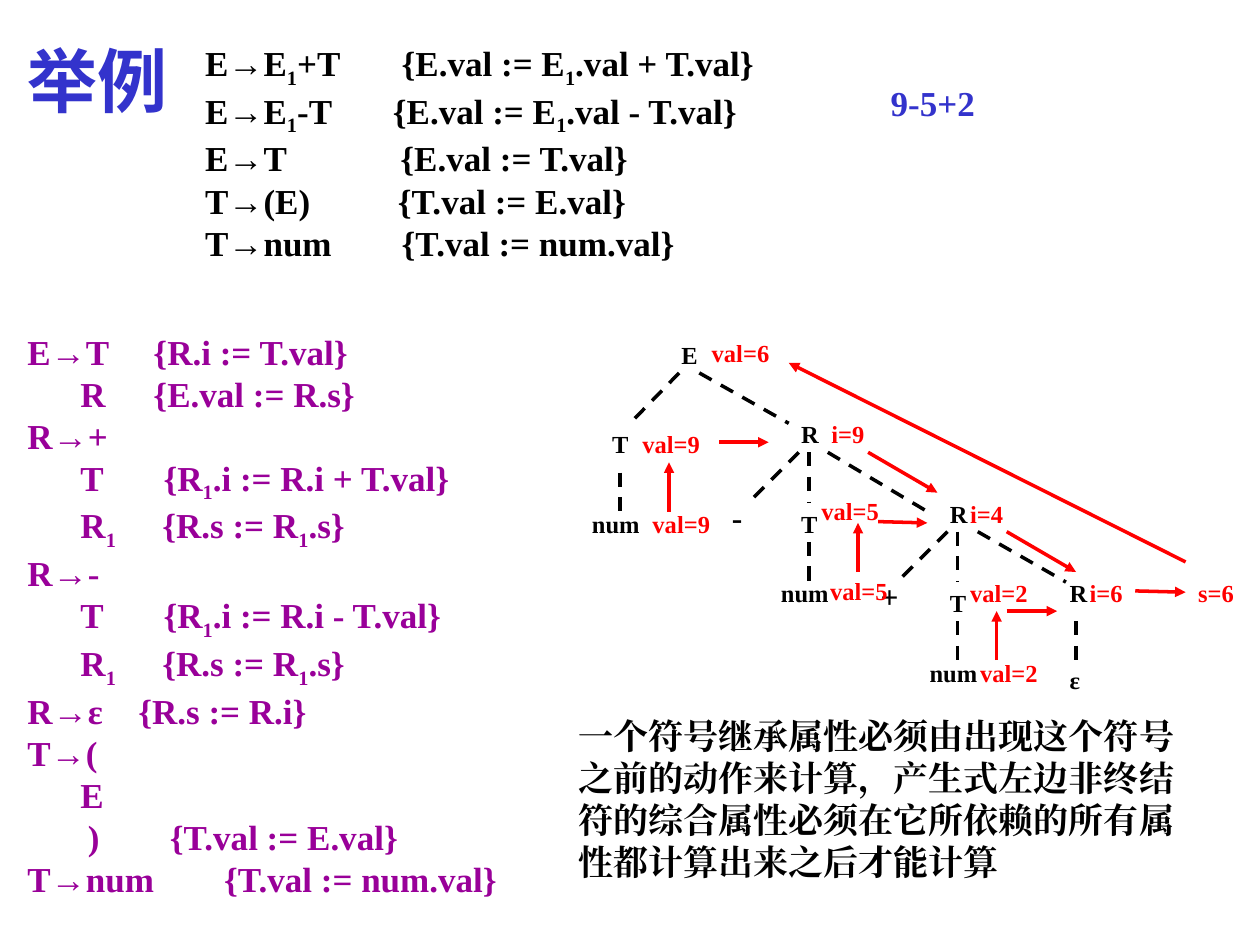
from lxml import etree
from pptx import Presentation
from pptx import util as u
from pptx.dml import color
from pptx.enum import dml, shapes, text
from pptx.oxml import ns

COLORS = {"title": "3333CC", "ink": "000000", "scheme": "990099", "attr": "FF0000"}
SERIF = "Times New Roman"
SANS = "Noto Sans CJK SC"

GRAMMAR = [
    ("E→E_1+T\t{E.val := E_1.val + T.val}", [1.56]),
    ("E→E_1-T\t{E.val := E_1.val - T.val}", [1.49]),
    ("E→T\t{E.val := T.val}", [1.55]),
    ("T→(E)\t{T.val := E.val}", [1.53]),
    ("T→num\t{T.val := num.val}", [1.56]),
]
SCHEME = [
    ("E→T\t{R.i := T.val}", [1]),
    ("\tR\t{E.val := R.s}", [0.42, 1]),
    ("R→+", []),
    ("\tT\t{R_1.i := R.i + T.val}", [0.42, 1.08]),
    ("\tR_1\t{R.s := R_1.s}", [0.42, 1.07]),
    ("R→-", []),
    ("\tT\t{R_1.i := R.i - T.val}", [0.42, 1.08]),
    ("\tR_1\t{R.s := R_1.s}", [0.42, 1.07]),
    ("R→ε\t{R.s := R.i}", [0.88]),
    ("T→(", []),
    ("\tE", [0.42]),
    ("\t)\t{T.val := E.val}", [0.48, 1.13]),
    ("T→num\t{T.val := num.val}", [1.56]),
]
NOTE = ("一个符号继承属性必须由出现这个符号之前的动作来计算，产生式左边非终结"
        "符的综合属性必须在它所依赖的所有属性都计算出来之后才能计算")

NODES = [
    ("E", 0.71, 0.05), ("T", 0.16, 0.76), ("R", 1.66, 0.68), ("num", 0, 1.39),
    ("-", 1.11, 1.3), ("T", 1.66, 1.39), ("R", 2.84, 1.31), ("num", 1.5, 1.94),
    ("+", 2.29, 1.93), ("T", 2.84, 2.02), ("R", 3.79, 1.94), ("num", 2.68, 2.57),
    ("ε", 3.79, 2.63),
]
ATTRS = [
    ("val=6", 0.95, 0.03), ("val=9", 0.4, 0.76), ("val=9", 0.48, 1.39),
    ("i=9", 1.9, 0.68), ("val=5", 1.82, 1.29), ("val=5", 1.89, 1.92),
    ("i=4", 3, 1.31), ("val=2", 3, 1.94), ("val=2", 3.08, 2.57),
    ("i=6", 3.95, 1.94), ("s=6", 4.81, 1.94),
]
BRANCHES = [
    (0.79, 0.36, 0.4, 0.76), (0.95, 0.36, 1.66, 0.76), (0.32, 1.15, 0.32, 1.46),
    (1.74, 0.99, 1.34, 1.39), (1.82, 0.99, 1.82, 1.39), (1.97, 0.99, 2.76, 1.46),
    (1.82, 1.7, 1.82, 2.02), (2.92, 1.62, 2.52, 2.02), (3, 1.62, 3, 2.02),
    (3.16, 1.62, 3.86, 2.02), (3, 2.33, 3, 2.65), (3.94, 2.33, 3.94, 2.64),
]
FLOWS = [
    (0.71, 1.46, 0.71, 1.07), (1.11, 0.91, 1.5, 0.91), (2.21, 1.94, 2.21, 1.55),
    (2.37, 1.54, 2.76, 1.55), (2.29, 0.99, 2.84, 1.31), (3.31, 2.64, 3.31, 2.25),
    (3.39, 2.25, 3.79, 2.25), (3.39, 1.62, 3.94, 1.94), (4.41, 2.09, 4.81, 2.1),
    (4.81, 1.86, 1.66, 0.28),
]


def add_run(p, content, size, fill, font=SERIF, subscript=False):
    r = p.add_run()
    r.text = content
    for name, value in {"size": u.Pt(size), "bold": True, "name": font}.items():
        setattr(r.font, name, value)
    r.font.color.rgb = color.RGBColor.from_string(COLORS[fill])
    rPr = r._r.get_or_add_rPr()
    etree.SubElement(rPr, ns.qn("a:ea")).set("typeface", font)
    if subscript:
        rPr.set("baseline", "-25000")


def add_tabs(p, stops):
    tabs = etree.SubElement(p._p.get_or_add_pPr(), ns.qn("a:tabLst"))
    for stop in stops:
        tab = etree.SubElement(tabs, ns.qn("a:tab"))
        tab.set("pos", str(u.Inches(stop)))
        tab.set("algn", "l")


def add_text(s, box, rows, size, fill):
    tf = s.shapes.add_textbox(*map(u.Inches, box)).text_frame
    tf.word_wrap = True
    for i, (content, stops) in enumerate(rows):
        p = tf.add_paragraph() if i else tf.paragraphs[0]
        if stops:
            add_tabs(p, stops)
        first, *rest = content.split("_")
        if first:
            add_run(p, first, size, fill)
        for part in rest:
            add_run(p, part[0], size, fill, subscript=True)
            add_run(p, part[1:], size, fill)


def add_line(s, left, top, ends, fill, arrow=False):
    x1, y1, x2, y2 = ends
    points = (left + x1, top + y1, left + x2, top + y2)
    sp = s.shapes.add_connector(shapes.MSO_CONNECTOR.STRAIGHT, *map(u.Inches, points))
    sp.line.width = u.Pt(2)
    sp.line.color.rgb = color.RGBColor.from_string(COLORS[fill])
    if arrow:
        etree.SubElement(sp.line._get_or_add_ln(), ns.qn("a:tailEnd")).set("type", "triangle")
    else:
        sp.line.dash_style = dml.MSO_LINE.DASH
    etree.SubElement(sp._element.spPr, ns.qn("a:effectLst"))


def add_title(s, box):
    sp = s.shapes.title
    for name, value in zip(("left", "top", "width", "height"), box):
        setattr(sp, name, u.Inches(value))
    tf = sp.text_frame
    form = {"vertical_anchor": text.MSO_ANCHOR.MIDDLE, "word_wrap": True,
            "auto_size": text.MSO_AUTO_SIZE.NONE}
    for name, value in form.items():
        setattr(tf, name, value)
    p = tf.paragraphs[0]
    p.alignment = text.PP_ALIGN.LEFT
    add_run(p, "举例", 40, "title", SANS)


def add_parse_tree(s, left, top):
    for ends in BRANCHES:
        add_line(s, left, top, ends, "ink")
    for label, x, y in NODES:
        size, height = (18, 0.4) if label in "+-" else (14, 0.34)
        width = 0.63 if label == "num" else 0.32
        add_text(s, (left + x, top + y, width, height), [(label, [])], size, "ink")
    for label, x, y in ATTRS:
        add_text(s, (left + x, top + y, 0.79, 0.34), [(label, [])], 14, "attr")
    for ends in FLOWS:
        add_line(s, left, top, ends, "attr", arrow=True)


def main():
    prs = Presentation()
    prs.slide_width, prs.slide_height = u.Inches(10), u.Inches(7.5)
    s = prs.slides.add_slide(prs.slide_layouts[5])
    add_title(s, (0.12, 0.05, 1.89, 1.17))
    add_text(s, (1.53, 0.28, 5, 1.86), GRAMMAR, 20, "ink")
    add_text(s, (0.12, 2.57, 5, 4.62), SCHEME, 20, "scheme")
    add_text(s, (6.97, 0.6, 2.68, 0.44), [("9-5+2", [])], 20, "title")
    add_parse_tree(s, 4.6, 2.6)
    add_text(s, (4.49, 5.62, 5, 1.44), [(NOTE, [])], 20, "ink")
    prs.save("out.pptx")


if __name__ == "__main__":
    main()
